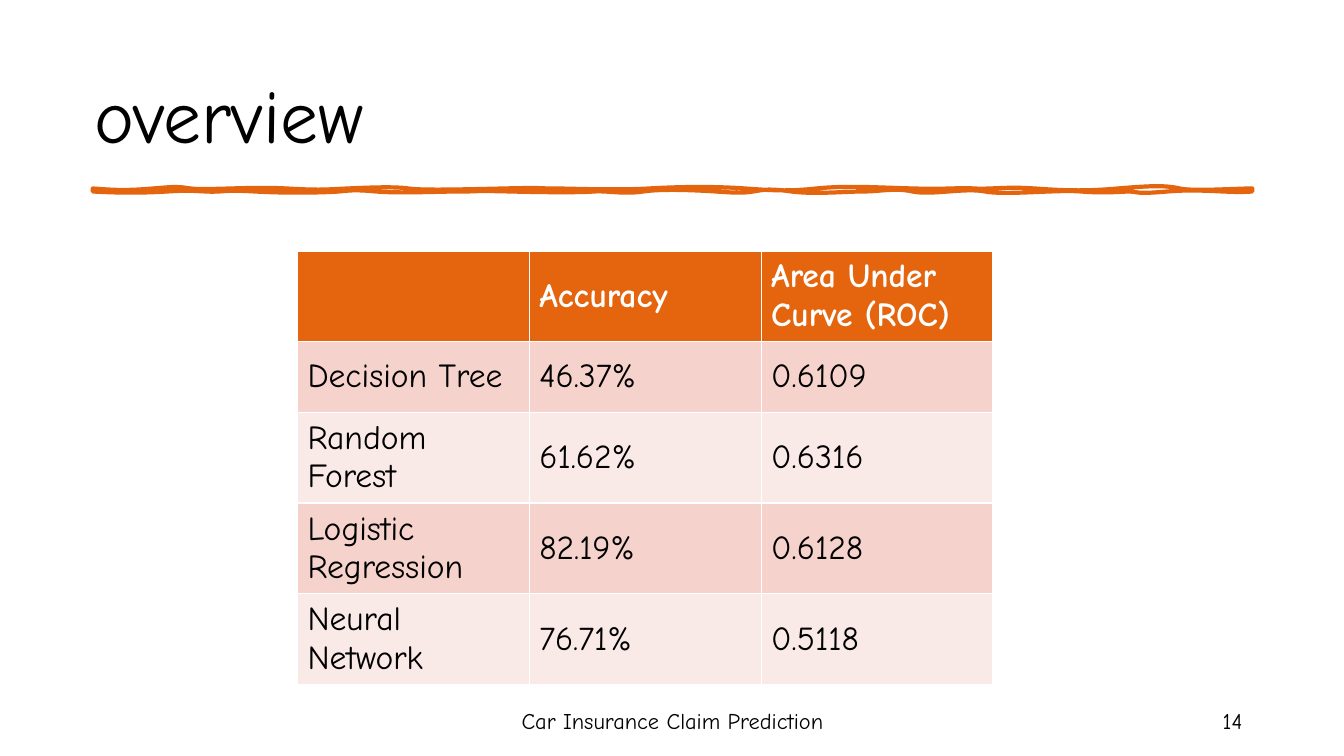
from dataclasses import dataclass

from pptx import Presentation
from pptx.dml.color import RGBColor
from pptx.enum.text import MSO_ANCHOR as Anchor, PP_ALIGN as Align
from pptx.oxml.ns import qn
from pptx.util import Inches, Pt
from lxml.etree import SubElement

TITLE = "overview"
FOOTER = "Car Insurance Claim Prediction"
PAGE = "14"
RESULTS = [
    ("", "Accuracy", "Area Under Curve (ROC)"),
    ("Decision Tree", "46.37%", "0.6109"),
    ("Random Forest", "61.62%", "0.6316"),
    ("Logistic Regression", "82.19%", "0.6128"),
    ("Neural Network", "76.71%", "0.5118"),
]
STROKE_START = (0.92, 1.87)
STROKE_CURVES = [
    (1.17, 1.89, 1.28, 1.89, 1.52, 1.87), (1.76, 1.85, 1.75, 1.85, 1.89, 1.87),
    (2.04, 1.89, 2.49, 1.85, 2.84, 1.87), (3.19, 1.89, 3.23, 1.88, 3.45, 1.87),
    (3.67, 1.86, 3.92, 1.85, 4.05, 1.87), (4.18, 1.89, 4.58, 1.88, 5, 1.87),
    (5.42, 1.86, 5.3, 1.87, 5.49, 1.87), (5.67, 1.87, 6.09, 1.89, 6.44, 1.87),
    (6.78, 1.85, 7.11, 1.85, 7.39, 1.87), (7.66, 1.89, 7.82, 1.9, 8.1, 1.87),
    (8.39, 1.84, 8.69, 1.86, 9.05, 1.87), (9.42, 1.88, 9.5, 1.86, 9.66, 1.87),
    (9.82, 1.88, 9.98, 1.85, 10.26, 1.87), (10.54, 1.89, 10.75, 1.9, 11.09, 1.87),
    (11.44, 1.84, 11.57, 1.84, 11.7, 1.87), (11.83, 1.9, 12.26, 1.87, 12.42, 1.87),
    (12.42, 1.88, 12.42, 1.89, 12.42, 1.9), (12.19, 1.92, 11.93, 1.87, 11.58, 1.9),
    (11.24, 1.93, 11.29, 1.9, 11.21, 1.9), (11.13, 1.9, 10.96, 1.92, 10.72, 1.9),
    (10.48, 1.88, 9.97, 1.94, 9.77, 1.9), (9.57, 1.86, 9.24, 1.94, 9.05, 1.9),
    (8.87, 1.86, 8.74, 1.9, 8.56, 1.9), (8.39, 1.9, 8.07, 1.93, 7.85, 1.9),
    (7.63, 1.87, 7.59, 1.88, 7.47, 1.9), (7.36, 1.92, 7.25, 1.91, 7.1, 1.9),
    (6.94, 1.89, 6.57, 1.87, 6.38, 1.9), (6.19, 1.93, 6.01, 1.89, 5.89, 1.9),
    (5.77, 1.91, 5.46, 1.91, 5.06, 1.9), (4.65, 1.89, 4.79, 1.9, 4.57, 1.9),
    (4.34, 1.9, 3.96, 1.92, 3.73, 1.9), (3.51, 1.88, 3.48, 1.89, 3.36, 1.9),
    (3.24, 1.91, 2.87, 1.92, 2.53, 1.9), (2.18, 1.88, 2.23, 1.91, 2.04, 1.9),
    (1.84, 1.89, 1.84, 1.89, 1.66, 1.9), (1.49, 1.91, 1.27, 1.92, 0.92, 1.9),
]


@dataclass(frozen=True)
class Theme:
    font: str = "Comic Neue"
    accent: str = "E4650E"
    bands: tuple = ("F5D3CC", "FAEAE7")
    ink: str = "000000"
    paper: str = "FFFFFF"
    title: int = 54
    body: int = 24
    small: int = 16
    stroke: int = 3


THEME = Theme()


def color(value):
    return RGBColor.from_string(value)


def write(frame, text, size, ink, align=Align.LEFT, bold=False):
    paragraph = frame.paragraphs[0]
    paragraph.text = text
    paragraph.alignment = align
    font = paragraph.font
    font.name, font.size, font.bold = THEME.font, Pt(size), bold
    font.color.rgb = color(ink)


def add_text(slide, box, text, size, align=Align.LEFT):
    frame = slide.shapes.add_textbox(*map(Inches, box)).text_frame
    frame.word_wrap = True
    frame.vertical_anchor = Anchor.MIDDLE
    write(frame, text, size, THEME.ink, align)


def bend_segments(shape, curves):
    segments = list(shape._element.iter(qn("a:lnTo")))
    for segment, curve in zip(segments, curves):
        segment.tag = qn("a:cubicBezTo")
        segment.remove(segment[0])
        for x, y in zip(curve[::2], curve[1::2]):
            SubElement(segment, qn("a:pt"), x=str(Inches(x) - shape.left),
                       y=str(Inches(y) - shape.top))


def add_brush_stroke(slide):
    builder = slide.shapes.build_freeform(*map(Inches, STROKE_START), scale=1.0)
    ends = [tuple(map(Inches, curve[-2:])) for curve in STROKE_CURVES]
    builder.add_line_segments(ends, close=True)
    stroke = builder.convert_to_shape()
    bend_segments(stroke, STROKE_CURVES)
    stroke.shadow.inherit = False
    stroke.fill.background()
    stroke.line.color.rgb = color(THEME.accent)
    stroke.line.width = Pt(THEME.stroke)


def add_results(slide, left, top, column_width, row_height):
    rows, columns = len(RESULTS), len(RESULTS[0])
    size = (column_width * columns, row_height * rows)
    table = slide.shapes.add_table(rows, columns, *map(Inches, (left, top, *size))).table
    for row, values in enumerate(RESULTS):
        header = row == 0
        fill = THEME.accent if header else THEME.bands[(row - 1) % 2]
        ink = THEME.paper if header else THEME.ink
        for column, value in enumerate(values):
            cell = table.cell(row, column)
            cell.vertical_anchor = Anchor.MIDDLE
            cell.fill.solid()
            cell.fill.fore_color.rgb = color(fill)
            if value:
                write(cell.text_frame, value, THEME.body, ink, bold=header)


def main():
    presentation = Presentation()
    presentation.slide_width, presentation.slide_height = Inches(13.33), Inches(7.5)
    slide = presentation.slides.add_slide(presentation.slide_layouts[6])
    add_brush_stroke(slide)
    add_text(slide, (0.84, 0.4, 11.5, 1.45), TITLE, THEME.title)
    add_results(slide, left=2.95, top=2.49, column_width=2.3, row_height=0.7)
    add_text(slide, (4.42, 6.95, 4.5, 0.4), FOOTER, THEME.small, Align.CENTER)
    add_text(slide, (9.42, 6.95, 3, 0.4), PAGE, THEME.small, Align.RIGHT)
    presentation.save("out.pptx")


if __name__ == "__main__":
    main()
